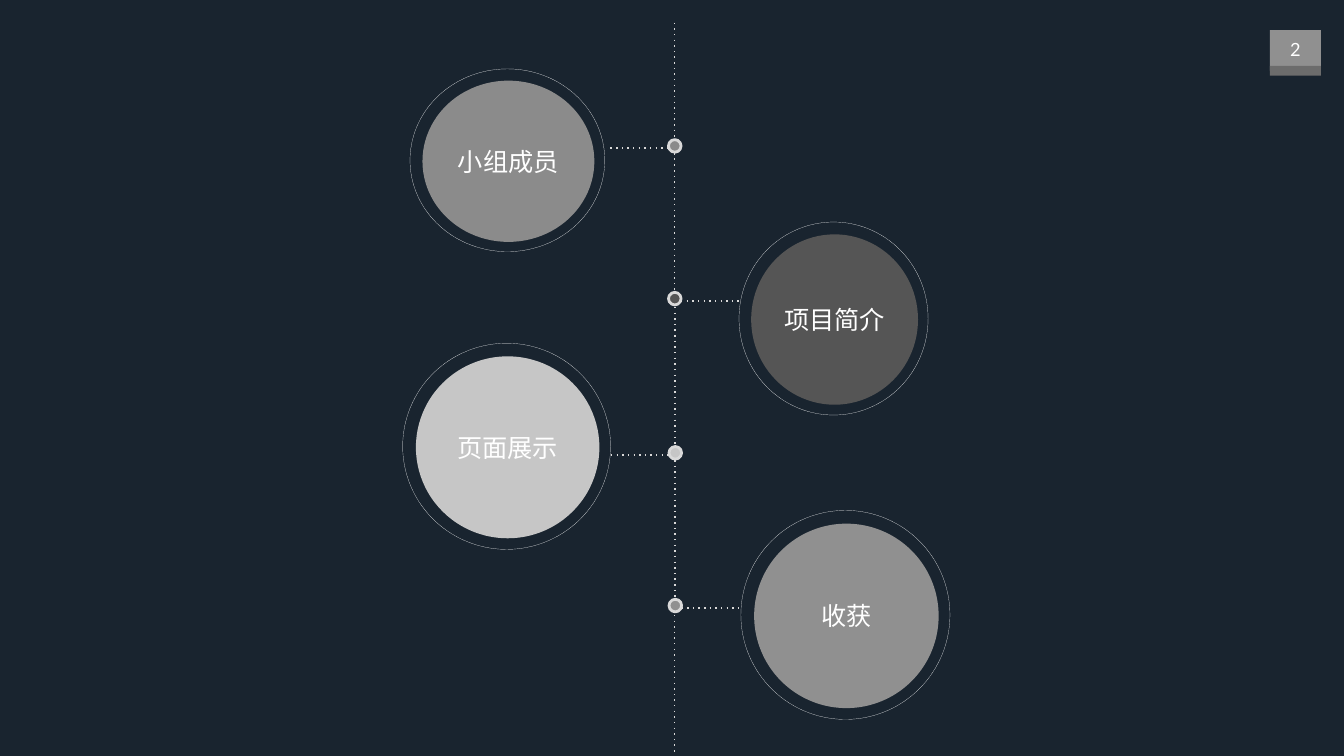
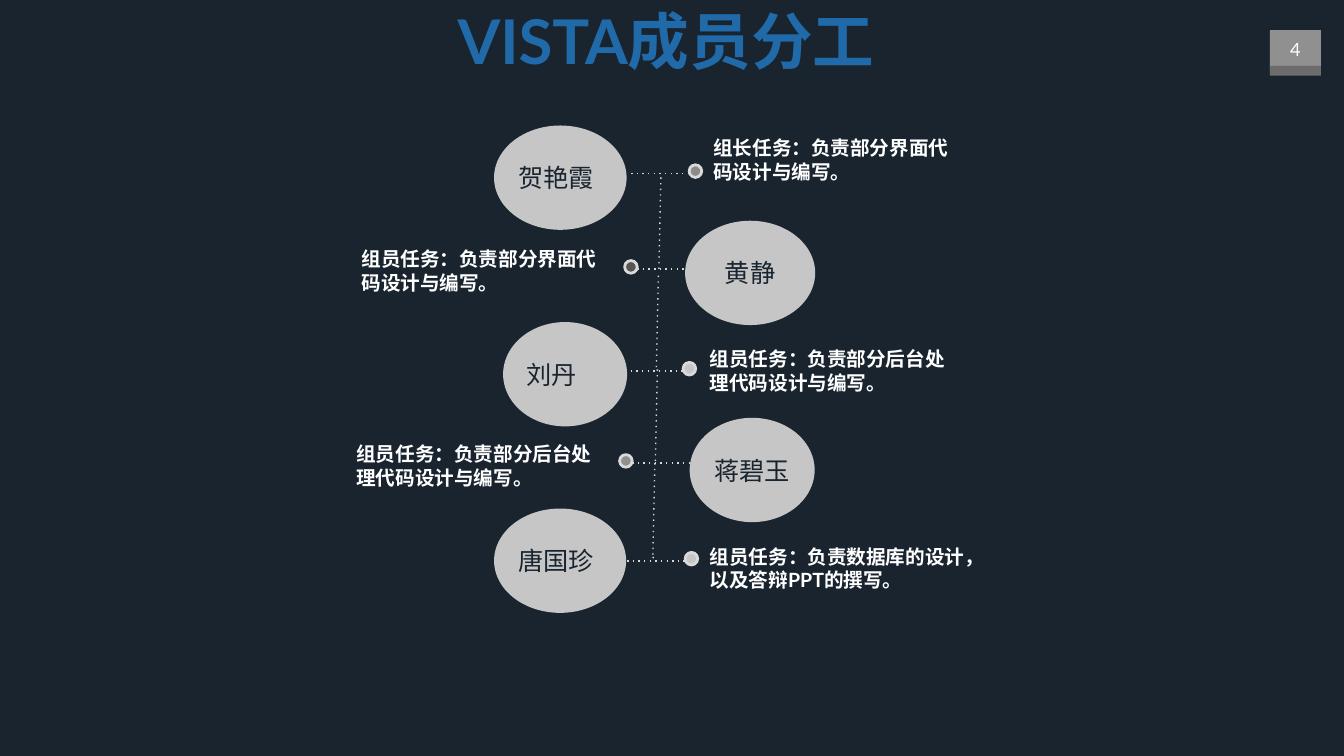
from lxml.etree import SubElement
from pptx import Presentation
from pptx.dml.color import RGBColor
from pptx.enum.shapes import MSO_CONNECTOR, MSO_SHAPE
from pptx.enum.text import MSO_ANCHOR, MSO_AUTO_SIZE, PP_ALIGN
from pptx.oxml.ns import qn
from pptx.util import Inches, Pt

FONT = "Lato"
NAVY = RGBColor(0x19, 0x24, 0x2F)
WHITE = RGBColor(0xFF, 0xFF, 0xFF)
BLUE = RGBColor(0x21, 0x6A, 0xA9)
DOTTED = RGBColor(0xD9, 0xD9, 0xD9)
TAB_EDGE = RGBColor(0x6C, 0x6C, 0x6C)
STEEL = RGBColor(0x8B, 0x8B, 0x8B)
CHARCOAL = RGBColor(0x55, 0x55, 0x55)
SILVER = RGBColor(0xC6, 0xC6, 0xC6)
GREY = RGBColor(0x90, 0x90, 0x90)

LEFT, CENTER = PP_ALIGN.LEFT, PP_ALIGN.CENTER
DOT, SPUR, SPUR_DROP = 0.25, 1.15, 0.17
TO_LEFT, TO_RIGHT = -1, 1

# Agenda: label, disc box, fill, spur side, dot position
TOPICS = [
    ("小组成员", (8.38, 1.6, 3.41, 3.2), STEEL, TO_LEFT, (13.26, 2.77)),
    ("项目简介", (14.9, 4.65, 3.31, 3.38), CHARCOAL, TO_RIGHT, (13.26, 5.8)),
    ("页面展示", (8.25, 7.07, 3.64, 3.61), SILVER, TO_LEFT, (13.27, 8.86)),
    ("收获", (14.96, 10.39, 3.66, 3.66), GREY, TO_RIGHT, (13.27, 11.89)),
]
RING_SCALE, RING_SHIFT = 1.133, -0.02
SPINE = [(13.38, 0.45), (13.38, 3.04), (13.39, 6.09), (13.39, 9.13), (13.38, 12.2)]
SPINE_LENGTH = 2.73

# Team: name, disc left, top, width, alignment, dot fill, spur side, dot position
DISC_HEIGHT = 2.07
MEMBERS = [
    ("贺艳霞", 9.8, 2.49, 2.63, LEFT, STEEL, TO_LEFT, (13.67, 3.27)),
    ("黄静", 13.59, 4.38, 2.58, CENTER, CHARCOAL, TO_RIGHT, (12.39, 5.17)),
    ("刘丹", 9.98, 6.39, 2.46, LEFT, SILVER, TO_LEFT, (13.55, 7.19)),
    ("蒋碧玉", 13.68, 8.29, 2.48, CENTER, GREY, TO_RIGHT, (12.29, 9.02)),
    ("唐国珍", 9.8, 10.09, 2.62, LEFT, SILVER, TO_LEFT, (13.59, 10.96)),
]
TASKS = [
    ("组长任务：负责部分界面代码设计与编写。", 13.95, 2.6, 5.42),
    ("组员任务：负责部分界面代码设计与编写。", 6.97, 4.8, 5.42),
    ("组员任务：负责部分后台处理代码设计与编写。", 13.88, 6.79, 5.42),
    ("组员任务：负责部分后台处理代码设计与编写。", 6.87, 8.67, 5.42),
    ("组员任务：负责数据库的设计，以及答辩PPT的撰写。", 13.88, 10.71, 5.93),
]
TEAM_SPINE = [
    (13.11, 3.52, 13.07, 5.34),
    (13.06, 5.47, 13.02, 7.29),
    (13.04, 7.33, 13, 9.15),
    (12.99, 9.19, 12.95, 11.01),
    (12.95, 11.05, 13, 11.13),
]

prs = Presentation()
prs.slide_width, prs.slide_height = Inches(26.66), Inches(15)


def write(tf, text, size, color, align=LEFT, bold=None):
    p = tf.paragraphs[0]
    p.alignment = align
    r = p.add_run()
    r.text = text
    for name, value in {"name": FONT, "size": Pt(size), "bold": bold}.items():
        setattr(r.font, name, value)
    r.font.color.rgb = color


def add_text(s, box, text, size, color, align=LEFT, bold=None, inset=(0.2, 0.1), wrap=True):
    tf = s.shapes.add_textbox(*map(Inches, box)).text_frame
    dx, dy = map(Inches, inset)
    frame = {"margin_left": dx, "margin_right": dx, "margin_top": dy, "margin_bottom": dy,
             "word_wrap": wrap, "auto_size": MSO_AUTO_SIZE.SHAPE_TO_FIT_TEXT}
    for name, value in frame.items():
        setattr(tf, name, value)
    write(tf, text, size, color, align, bold)


def set_line(sp, color, width, dash=None):
    sp.line.color.rgb = color
    sp.line.width = Pt(width)
    if dash:
        ln = sp._element.spPr.find(qn("a:ln"))
        SubElement(ln, qn("a:prstDash")).set("val", dash)


def add_shape(s, kind, box, fill=None):
    sp = s.shapes.add_shape(kind, *map(Inches, box))
    sp.shadow.inherit = False
    if fill is None:
        sp.fill.background()
    else:
        sp.fill.solid()
        sp.fill.fore_color.rgb = fill
    sp.line.fill.background()
    return sp


def add_disc(s, box, fill, label, color, align=CENTER):
    sp = add_shape(s, MSO_SHAPE.OVAL, box, fill)
    sp.text_frame.vertical_anchor = MSO_ANCHOR.MIDDLE
    write(sp.text_frame, label, 36, color, align)


def add_ring(s, box):
    x, y, w, h = box
    rw, rh = w * RING_SCALE, h * RING_SCALE
    ring = (x - (rw - w) / 2 + RING_SHIFT, y - (rh - h) / 2 + RING_SHIFT, rw, rh)
    set_line(add_shape(s, MSO_SHAPE.OVAL, ring), WHITE, 0.25, "sysDash")


def add_dotted(s, x1, y1, x2, y2):
    c = s.shapes.add_connector(MSO_CONNECTOR.STRAIGHT, *map(Inches, (x1, y1, x2, y2)))
    set_line(c, DOTTED, 2, "dot")
    SubElement(c._element.spPr, qn("a:effectLst"))


def add_node(s, position, fill, side):
    """A ringed dot with a dotted spur on one side."""
    x, y = position
    set_line(add_shape(s, MSO_SHAPE.OVAL, (x, y, DOT, DOT), fill), DOTTED, 4)
    start = x - SPUR if side == TO_LEFT else x + DOT
    add_dotted(s, start, y + SPUR_DROP, start + SPUR, y + SPUR_DROP)


def new_slide(number):
    s = prs.slides.add_slide(prs.slide_layouts[6])
    s.background.fill.solid()
    s.background.fill.fore_color.rgb = NAVY
    # Page number tab
    for top, height, fill in [(0.6, 0.8, GREY), (1.4, 0.1, TAB_EDGE), (1.31, 0.1, TAB_EDGE)]:
        add_shape(s, MSO_SHAPE.RECTANGLE, (25.19, top, 1.01, height), fill)
    add_text(s, (25.27, 0.66, 0.85, 0.64), str(number), 26, WHITE, CENTER, wrap=False)
    return s


# Agenda slide
s = new_slide(2)
for x, y in SPINE:
    add_dotted(s, x, y, x, y + SPINE_LENGTH)
for label, box, fill, side, position in TOPICS:
    add_disc(s, box, fill, label, WHITE)
    add_ring(s, box)
    add_node(s, position, fill, side)

# Team slide
s = new_slide(4)
for name, x, y, width, align, fill, side, position in MEMBERS:
    add_node(s, position, fill, side)
    add_disc(s, (x, y, width, DISC_HEIGHT), SILVER, name, NAVY, align)
for task, x, y, width in TASKS:
    add_text(s, (x, y, width, 1.14), task, 28, WHITE, bold=True)
for segment in TEAM_SPINE:
    add_dotted(s, *segment)
add_text(s, (6.45, 0, 13.52, 1.58), "VISTA成员分工", 88, BLUE, CENTER, True, (0.1, 0.05))

prs.save("out.pptx")
